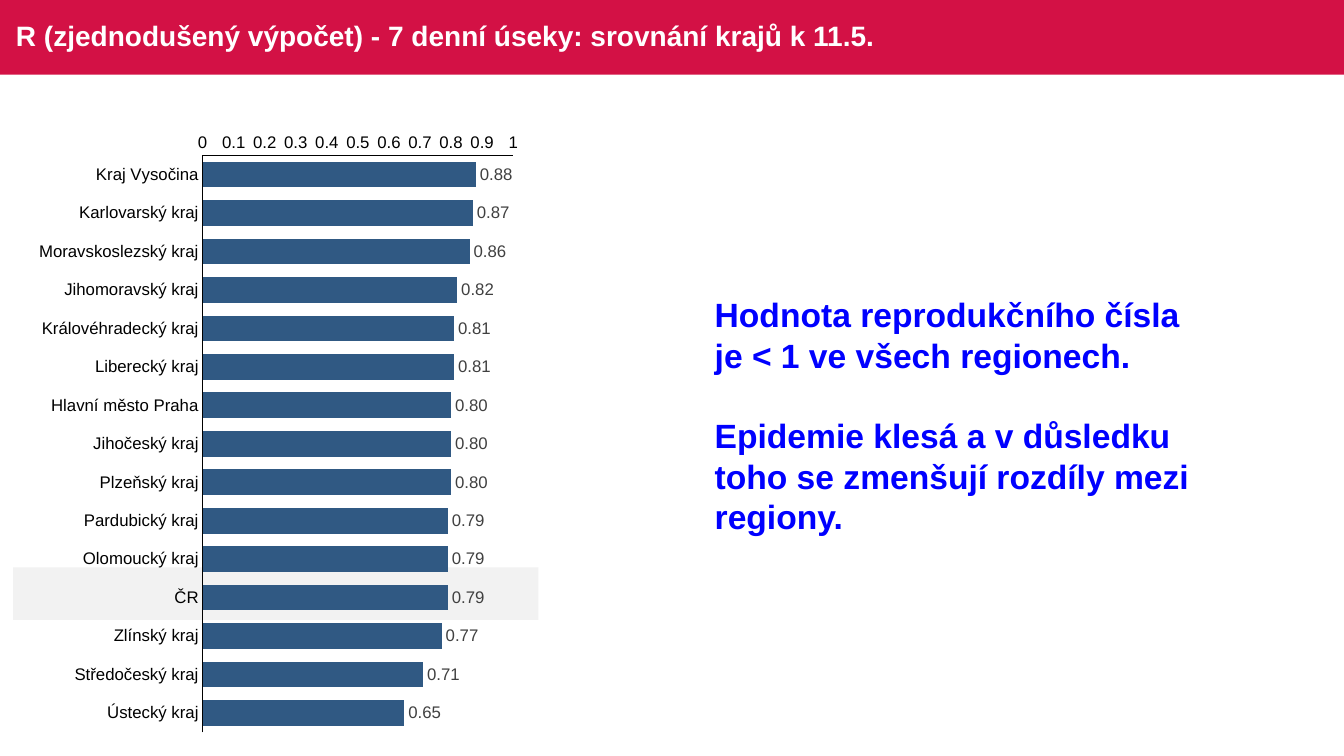
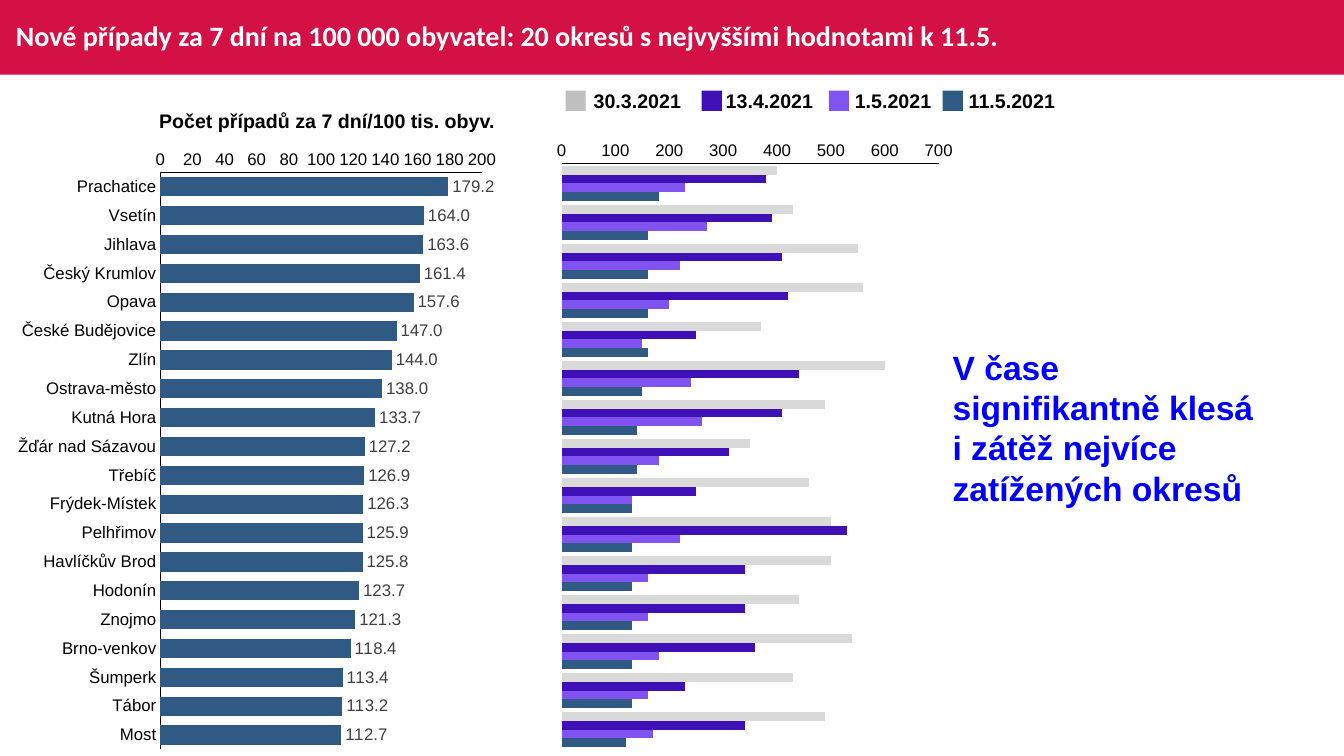
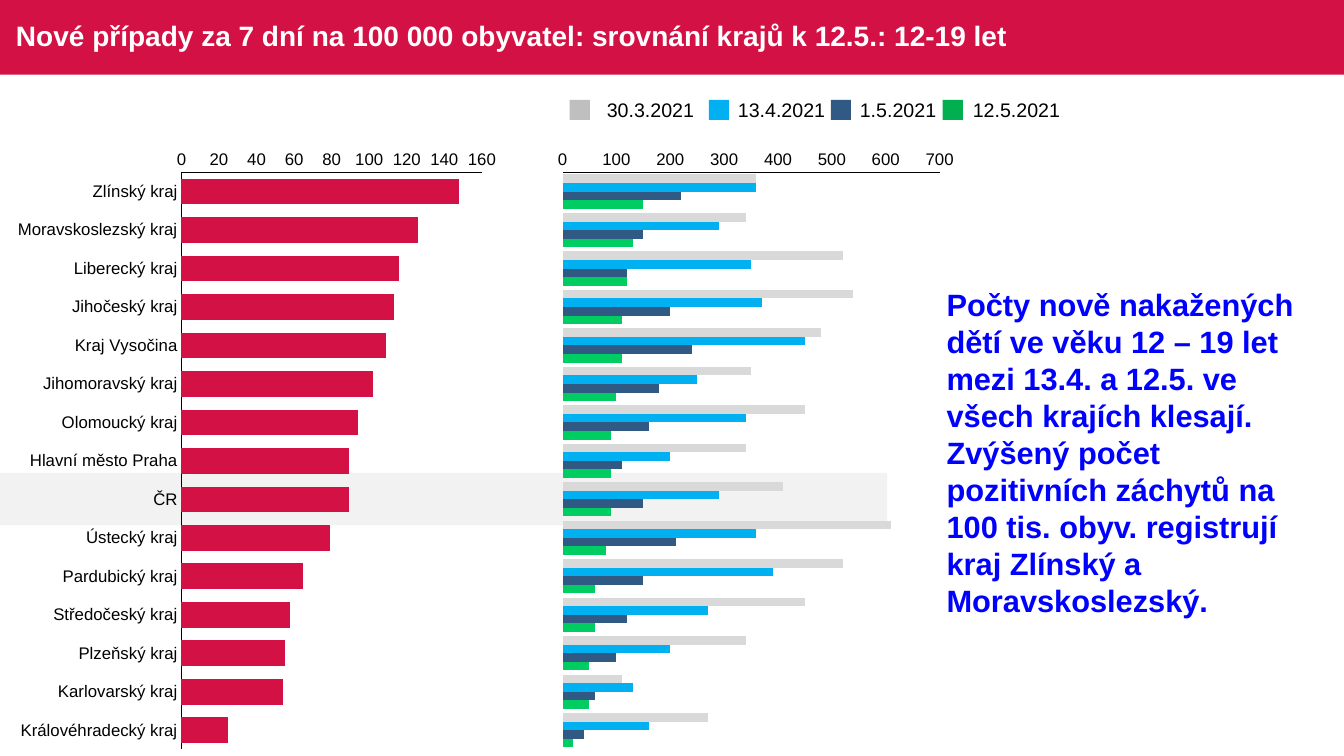
import pptx
import pptx.util
import pptx.chart.data
import pptx.dml.color
import pptx.enum.chart
import pptx.enum.shapes
import pptx.enum.text
import pptx.oxml

Inches = pptx.util.Inches
Pt = pptx.util.Pt
rgb = pptx.dml.color.RGBColor.from_string

hues = {
    "red": "D31145", "white": "FFFFFF", "black": "000000", "note": "0000FF",
    "strip": "F2F2F2", "steel": "305983", "label": "404040", "pale": "D9D9D9",
    "grey": "BFBFBF", "deep": "4010B7", "violet": "8053F0",
    "sky": "00B0F0", "lime": "00CD61", "green": "00B050",
}


def add_text(slide, box, lines, size, hue="black", bold=True, font="Arial",
             wrap=True, space=None, gap=0, middle=False):
    frame = slide.shapes.add_textbox(*map(Inches, box)).text_frame
    frame.word_wrap = wrap
    if middle:
        frame.vertical_anchor = pptx.enum.text.MSO_ANCHOR.MIDDLE
    for i, line in enumerate(lines):
        para = frame.paragraphs[0] if i == 0 else frame.add_paragraph()
        para.text = line
        para.line_spacing = space
        if i and gap:
            para.space_before = Pt(gap)
        para.font.name = font
        para.font.size = Pt(size)
        para.font.bold = bold
        para.font.color.rgb = rgb(hues[hue])


def add_bars(slide, box, plot_x, cats, rows, tints, top, step, form=None):
    """Bar chart whose plot spans plot_x, the left and right edge in inches."""
    data = pptx.chart.data.CategoryChartData()
    data.categories = cats
    for i, row in enumerate(rows, 1):
        data.add_series(f"Series {i}", row)
    kind = pptx.enum.chart.XL_CHART_TYPE.BAR_CLUSTERED
    chart = slide.shapes.add_chart(kind, *map(Inches, box), data).chart
    chart.has_title = False
    chart.has_legend = False
    chart.font.name = "Arial"
    chart.font.size = Pt(10)
    chart.font.color.rgb = rgb(hues["black"])

    # Bars and their values
    plot = chart.plots[0]
    plot.gap_width = 50
    plot.vary_by_categories = False
    for bar, tint in zip(plot.series, tints):
        bar.invert_if_negative = False
        bar.format.fill.solid()
        bar.format.fill.fore_color.rgb = rgb(hues[tint])
    if form:
        plot.has_data_labels = True
        labels = plot.data_labels
        labels.show_value = True
        labels.number_format = form
        labels.number_format_is_linked = False
        labels.position = pptx.enum.chart.XL_LABEL_POSITION.OUTSIDE_END
        labels.font.name = "Arial"
        labels.font.size = Pt(12)
        labels.font.color.rgb = rgb(hues["label"])

    # Axes
    for axis in (chart.category_axis, chart.value_axis):
        axis.has_major_gridlines = False
        axis.major_tick_mark = pptx.enum.chart.XL_TICK_MARK.NONE
        axis.minor_tick_mark = pptx.enum.chart.XL_TICK_MARK.NONE
        axis.format.line.color.rgb = rgb(hues["black"])
        axis.format.line.width = Pt(0.75)
        axis.tick_labels.font.name = "Arial"
        axis.tick_labels.font.size = Pt(12)
        axis.tick_labels.font.color.rgb = rgb(hues["black"])
    chart.category_axis.reverse_order = True
    chart.category_axis.visible = len(rows) == 1
    chart.value_axis.minimum_scale = 0
    chart.value_axis.maximum_scale = top
    chart.value_axis.major_unit = step

    # Fixed plot area, as shares of the chart frame
    left, right = plot_x
    spans = {"x": (left - box[0]) / box[2], "y": 0.055,
             "w": (right - left) / box[2], "h": 0.925}
    modes = '<c:xMode val="edge"/><c:yMode val="edge"/>'
    sizes = "".join(f'<c:{key} val="{val:.4f}"/>' for key, val in spans.items())
    area = chart._chartSpace.chart.plotArea
    for old in area.xpath("c:layout"):
        area.remove(old)
    area.insert(0, pptx.oxml.parse_xml(
        '<c:layout xmlns:c="http://schemas.openxmlformats.org/drawingml/2006/chart">'
        f'<c:manualLayout><c:layoutTarget val="inner"/>{modes}{sizes}'
        '</c:manualLayout></c:layout>'))


deck = pptx.Presentation()
deck.slide_width = Inches(13.33)
deck.slide_height = Inches(7.5)

# Slides with their titles
heads = [
    ("R (zjednodušený výpočet) - 7 denní úseky: srovnání krajů k 11.5.", "Arial"),
    ("Nové případy za 7 dní na 100 000 obyvatel: 20 okresů s nejvyššími hodnotami k 11.5.",
     "Calibri"),
    ("Nové případy za 7 dní na 100 000 obyvatel: srovnání krajů k 12.5.: 12-19 let", "Arial"),
]
slides = [deck.slides.add_slide(deck.slide_layouts[6]) for head in heads]
rate, towns, teens = slides

# Title bands, grey strips behind the national row, legend squares
square = 0.2
blocks = [(slide, (0, 0, 13.33, 0.74), "red") for slide in slides]
blocks += [
    (rate, (0.13, 5.63, 5.21, 0.52), "strip"),
    (teens, (0, 4.69, 8.8, 0.52), "strip"),
]
keys = [
    (towns, 0.9, True, [
        (5.61, 5.79, "30.3.2021", "grey"), (6.96, 7.1, "13.4.2021", "deep"),
        (8.22, 8.38, "1.5.2021", "violet"), (9.35, 9.51, "11.5.2021", "steel")]),
    (teens, 0.99, False, [
        (5.65, 5.92, "30.3.2021", "grey"), (7.03, 7.22, "13.4.2021", "sky"),
        (8.24, 8.43, "1.5.2021", "steel"), (9.35, 9.55, "12.5.2021", "green")]),
]
for slide, y, bold, marks in keys:
    for x, text_x, date, hue in marks:
        blocks.append((slide, (x, y, square, square), hue))
        add_text(slide, (text_x, y - 0.07, 1.07, 0.34), [date], 14,
                 bold=bold, wrap=False)
for slide, box, hue in blocks:
    block = slide.shapes.add_shape(
        pptx.enum.shapes.MSO_SHAPE.RECTANGLE, *map(Inches, box))
    block.shadow.inherit = False
    block.fill.solid()
    block.fill.fore_color.rgb = rgb(hues[hue])
    block.line.fill.background()
for slide, (head, font) in zip(slides, heads):
    add_text(slide, (0.06, 0, 12.01, 0.74), [head], 20, "white",
             font=font, space=0.9, middle=True)

# Slide 1: reproduction number by region
add_bars(
    rate, (0.3, 1.2, 4.94, 6.19), (2.01, 5.09),
    ["Kraj Vysočina", "Karlovarský kraj", "Moravskoslezský kraj", "Jihomoravský kraj",
     "Královéhradecký kraj", "Liberecký kraj", "Hlavní město Praha", "Jihočeský kraj",
     "Plzeňský kraj", "Pardubický kraj", "Olomoucký kraj", "ČR", "Zlínský kraj",
     "Středočeský kraj", "Ústecký kraj"],
    [[0.88, 0.87, 0.86, 0.82, 0.81, 0.81, 0.8, 0.8, 0.8, 0.79, 0.79, 0.79, 0.77, 0.71, 0.65]],
    ["steel"], 1, 0.1, "#,##0.00")
add_text(rate, (6.99, 2.87, 5.09, 2.52),
         ["Hodnota reprodukčního čísla je < 1 ve všech regionech.",
          "Epidemie klesá a v důsledku toho se zmenšují rozdíly mezi regiony."],
         24, "note", space=Pt(28.8), gap=28.8)

# Slide 2: districts with the highest load
add_text(towns, (1.48, 1.03, 3.54, 0.34), ["Počet případů za 7 dní/100 tis. obyv."],
         14, wrap=False)
add_bars(
    towns, (0.08, 1.37, 4.94, 6.19), (1.59, 4.78),
    ["Prachatice", "Vsetín", "Jihlava", "Český Krumlov", "Opava", "České Budějovice",
     "Zlín", "Ostrava-město", "Kutná Hora", "Žďár nad Sázavou", "Třebíč",
     "Frýdek-Místek", "Pelhřimov", "Havlíčkův Brod", "Hodonín", "Znojmo",
     "Brno-venkov", "Šumperk", "Tábor", "Most"],
    [[179.2, 164, 163.6, 161.4, 157.6, 147, 144, 138, 133.7, 127.2,
      126.9, 126.3, 125.9, 125.8, 123.7, 121.3, 118.4, 113.4, 113.2, 112.7]],
    ["steel"], 200, 20, "#,##0.0")
ranks = [str(n) for n in range(1, 16)]
add_bars(
    towns, (5.45, 1.28, 4.09, 6.28), (5.57, 9.31), ranks,
    [[400, 430, 550, 560, 370, 600, 490, 350, 460, 500, 500, 440, 540, 430, 490],
     [380, 390, 410, 420, 250, 440, 410, 310, 250, 530, 340, 340, 360, 230, 340],
     [230, 270, 220, 200, 150, 240, 260, 180, 130, 220, 160, 160, 180, 160, 170],
     [180, 160, 160, 160, 160, 150, 140, 140, 130, 130, 130, 130, 130, 130, 120]],
    ["pale", "deep", "violet", "steel"], 700, 100)
add_text(towns, (9.35, 3.39, 3.37, 1.72),
         ["V čase signifikantně klesá", "i zátěž nejvíce zatížených okresů"],
         24, "note", space=Pt(28.8))

# Slide 3: regions, ages 12 to 19
add_bars(
    teens, (0.08, 1.37, 4.94, 6.19), (1.8, 4.78),
    ["Zlínský kraj", "Moravskoslezský kraj", "Liberecký kraj", "Jihočeský kraj",
     "Kraj Vysočina", "Jihomoravský kraj", "Olomoucký kraj", "Hlavní město Praha", "ČR",
     "Ústecký kraj", "Pardubický kraj", "Středočeský kraj", "Plzeňský kraj",
     "Karlovarský kraj", "Královéhradecký kraj"],
    [[148, 126, 116, 113, 109, 102, 94, 89, 89, 79, 65, 58, 55, 54, 25]],
    ["red"], 160, 20)
add_bars(
    teens, (5.46, 1.37, 4.09, 6.19), (5.58, 9.32), ranks,
    [[360, 340, 520, 540, 480, 350, 450, 340, 410, 610, 520, 450, 340, 110, 270],
     [360, 290, 350, 370, 450, 250, 340, 200, 290, 360, 390, 270, 200, 130, 160],
     [220, 150, 120, 200, 240, 180, 160, 110, 150, 210, 150, 120, 100, 60, 40],
     [150, 130, 120, 110, 110, 100, 90, 90, 90, 80, 60, 60, 50, 50, 20]],
    ["pale", "sky", "steel", "lime"], 700, 100)
add_text(teens, (9.29, 2.79, 3.91, 3.43),
         ["Počty nově nakažených dětí ve věku 12 – 19 let mezi 13.4. a 12.5. ve všech "
          "krajích klesají. Zvýšený počet pozitivních záchytů na 100 tis. obyv. "
          "registrují kraj Zlínský a Moravskoslezský."],
         22, "note", space=Pt(26.4))

deck.save("out.pptx")
